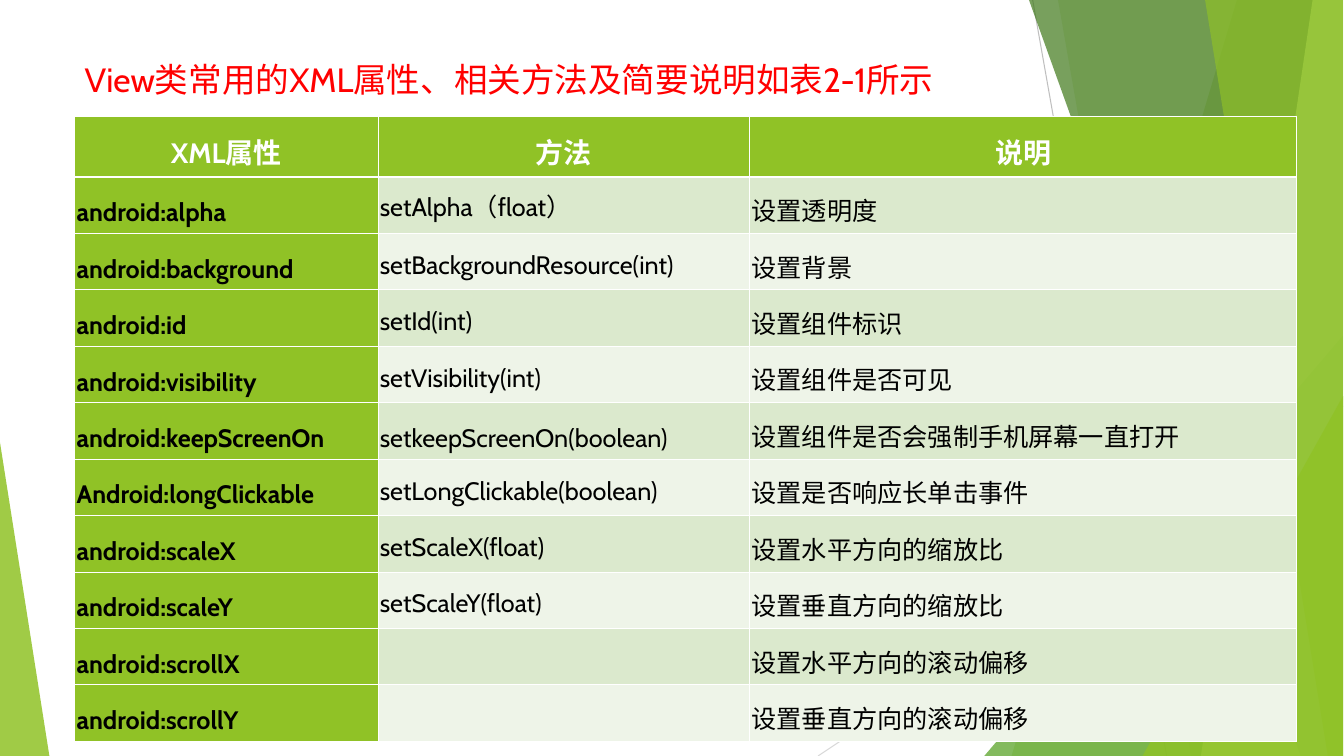
from dataclasses import dataclass
from typing import Any

from lxml.etree import SubElement
from pptx import Presentation
from pptx.dml.color import RGBColor
from pptx.enum.shapes import MSO_CONNECTOR, MSO_SHAPE
from pptx.enum.text import MSO_ANCHOR, MSO_AUTO_SIZE, PP_ALIGN
from pptx.oxml.ns import qn
from pptx.util import Pt

PX = 9144
FONT = "Cabin"

WHITE = RGBColor(0xFF, 0xFF, 0xFF)
BLACK = RGBColor(0x00, 0x00, 0x00)
RED = RGBColor(0xFF, 0x00, 0x00)
GREEN = RGBColor(0x90, 0xC2, 0x26)
MID_GREEN = RGBColor(0x54, 0xA0, 0x21)
DARK_GREEN = RGBColor(0x3F, 0x78, 0x19)
LIME = RGBColor(0xC0, 0xE4, 0x74)
BAND_DARK = RGBColor(0xDB, 0xE9, 0xCD)
BAND_LIGHT = RGBColor(0xEE, 0xF4, 0xE8)
GRAY = RGBColor(0xBF, 0xBF, 0xBF)
LIGHT_GRAY = RGBColor(0xD9, 0xD9, 0xD9)


@dataclass(frozen=True)
class Line:
    start: tuple[int, int]
    end: tuple[int, int]
    color: RGBColor


@dataclass(frozen=True)
class Facet:
    top_x: int
    bottom_x: int
    color: RGBColor
    opacity: int


@dataclass(frozen=True)
class Triangle:
    left: int
    top: int
    width: int
    height: int
    apex: int
    color: RGBColor
    opacity: int


@dataclass(frozen=True)
class TextStyle:
    size: int
    color: RGBColor
    bold: bool
    paragraph: dict[str, Any]


DECORATIONS = [
    Line((1025, 0), (1158, 750), GRAY),
    Line((1333, 403), (812, 750), LIGHT_GRAY),
    Facet(1228, 1004, GREEN, 30),
    Facet(1050, 1182, GREEN, 20),
    Triangle(977, 333, 356, 417, 1, MID_GREEN, 72),
    Facet(1021, 1291, DARK_GREEN, 70),
    Facet(1303, 1192, LIME, 70),
    Facet(1196, 1318, GREEN, 65),
    Triangle(1134, 393, 199, 357, 1, GREEN, 80),
    Triangle(0, 439, 49, 311, 0, GREEN, 85),
]

TITLE = "View类常用的XML属性、相关方法及简要说明如表2-1所示"
HEADERS = ("XML属性", "方法", "说明")
ROWS = [
    ("android:alpha", "setAlpha（float）", "设置透明度"),
    ("android:background", "setBackgroundResource(int)", "设置背景"),
    ("android:id", "setId(int)", "设置组件标识"),
    ("android:visibility", "setVisibility(int)", "设置组件是否可见"),
    ("android:keepScreenOn", "setkeepScreenOn(boolean)", "设置组件是否会强制手机屏幕一直打开"),
    ("Android:longClickable", "setLongClickable(boolean)", "设置是否响应长单击事件"),
    ("android:scaleX", "setScaleX(float)", "设置水平方向的缩放比"),
    ("android:scaleY", "setScaleY(float)", "设置垂直方向的缩放比"),
    ("android:scrollX", "", "设置水平方向的滚动偏移"),
    ("android:scrollY", "", "设置垂直方向的滚动偏移"),
]
COLUMN_WIDTHS = (301, 369, 543)
HEADER_HEIGHT = 60
ROW_HEIGHT = 56

LOOSE = {"line_spacing": 1.5, "space_after": Pt(6)}
TITLE_STYLE = TextStyle(24, RED, False, {"alignment": PP_ALIGN.LEFT})
HEADER_STYLE = TextStyle(20, WHITE, True, {"alignment": PP_ALIGN.CENTER, "line_spacing": 1.25})
ATTRIBUTE_STYLE = TextStyle(18, BLACK, True, LOOSE)
BODY_STYLE = TextStyle(18, BLACK, False, {"line_spacing": 1.25})
SINGLE_STYLE = TextStyle(18, BLACK, False, {"line_spacing": 1.0})
LOOSE_STYLE = TextStyle(18, BLACK, False, LOOSE)
METHOD_STYLES = {"setAlpha（float）": SINGLE_STYLE, "setkeepScreenOn(boolean)": LOOSE_STYLE}


def set_attributes(target: Any, values: dict[str, Any]) -> None:
    for name, value in values.items():
        setattr(target, name, value)


def write_text(text_frame: Any, text: str, style: TextStyle) -> None:
    paragraph = text_frame.paragraphs[0]
    set_attributes(paragraph, style.paragraph)
    run = paragraph.add_run()
    run.text = text
    set_attributes(run.font, {"name": FONT, "size": Pt(style.size), "bold": style.bold})
    run.font.color.rgb = style.color


def fill_shape(shape: Any, color: RGBColor, opacity: int) -> None:
    shape.shadow.inherit = False
    shape.line.fill.background()
    shape.fill.solid()
    shape.fill.fore_color.rgb = color
    color_element = shape.element.spPr.find(qn("a:solidFill"))[0]
    SubElement(color_element, qn("a:alpha"), val=str(opacity * 1000))


def draw_line(slide: Any, line: Line) -> None:
    points = [value * PX for value in (*line.start, *line.end)]
    connector = slide.shapes.add_connector(MSO_CONNECTOR.STRAIGHT, *points)
    connector.line.color.rgb = line.color
    connector.line.width = Pt(0.75)
    SubElement(connector.element.spPr, qn("a:effectLst"))


def draw_facet(slide: Any, facet: Facet) -> None:
    builder = slide.shapes.build_freeform(facet.top_x, -1, scale=PX)
    builder.add_line_segments([(1333, -1), (1333, 750), (facet.bottom_x, 750)], close=True)
    fill_shape(builder.convert_to_shape(), facet.color, facet.opacity)


def draw_triangle(slide: Any, triangle: Triangle) -> None:
    box = (triangle.left, triangle.top, triangle.width, triangle.height)
    shape = slide.shapes.add_shape(MSO_SHAPE.ISOSCELES_TRIANGLE, *(value * PX for value in box))
    shape.adjustments[0] = triangle.apex
    fill_shape(shape, triangle.color, triangle.opacity)


def format_cell(cell: Any, fill: RGBColor, borders: dict[str, float]) -> None:
    set_attributes(cell, {
        "margin_left": 2 * PX, "margin_right": 2 * PX,
        "margin_top": 5 * PX, "margin_bottom": 5 * PX,
        "vertical_anchor": MSO_ANCHOR.MIDDLE,
    })
    properties = cell._tc.get_or_add_tcPr()
    for side, width in borders.items():
        border = SubElement(properties, qn(f"a:ln{side}"), w=str(int(Pt(width))))
        solid = SubElement(border, qn("a:solidFill"))
        SubElement(solid, qn("a:srgbClr"), val=str(WHITE))
    cell.fill.solid()
    cell.fill.fore_color.rgb = fill


def cell_style(row: int, column: int, text: str) -> TextStyle:
    if row == 0:
        return HEADER_STYLE
    if column == 0:
        return ATTRIBUTE_STYLE
    return METHOD_STYLES.get(text, BODY_STYLE)


def draw_table(slide: Any) -> None:
    heights = [HEADER_HEIGHT] + [ROW_HEIGHT] * len(ROWS)
    box = (74, 115, sum(COLUMN_WIDTHS), sum(heights))
    frame = slide.shapes.add_table(len(heights), len(HEADERS), *(value * PX for value in box))
    table = frame.table
    set_attributes(table, {"first_row": True, "first_col": True, "horz_banding": False})
    for column, width in zip(table.columns, COLUMN_WIDTHS):
        column.width = width * PX
    for row, (height, texts) in enumerate(zip(heights, [HEADERS, *ROWS])):
        table.rows[row].height = height * PX
        band = BAND_DARK if row % 2 else BAND_LIGHT
        borders = {"L": 0.45, "R": 0.45, "T": 1.47 if row == 1 else 0.45, "B": 1.47 if row == 0 else 0.45}
        for column, text in enumerate(texts):
            cell = table.cell(row, column)
            format_cell(cell, GREEN if row == 0 or column == 0 else band, borders)
            if text:
                write_text(cell.text_frame, text, cell_style(row, column, text))


def place_title(slide: Any) -> None:
    title = slide.shapes.title
    set_attributes(title, {"left": 74 * PX, "top": 53 * PX, "width": 940 * PX, "height": 62 * PX})
    set_attributes(title.text_frame, {
        "word_wrap": True, "auto_size": MSO_AUTO_SIZE.NONE, "vertical_anchor": MSO_ANCHOR.TOP,
    })
    write_text(title.text_frame, TITLE, TITLE_STYLE)
    title.element.getparent().append(title.element)


def main() -> None:
    presentation = Presentation()
    set_attributes(presentation, {"slide_width": 1334 * PX, "slide_height": 750 * PX})
    slide = presentation.slides.add_slide(presentation.slide_layouts[5])
    painters = {Line: draw_line, Facet: draw_facet, Triangle: draw_triangle}
    for decoration in DECORATIONS:
        painters[type(decoration)](slide, decoration)
    place_title(slide)
    draw_table(slide)
    presentation.save("out.pptx")


if __name__ == "__main__":
    main()
